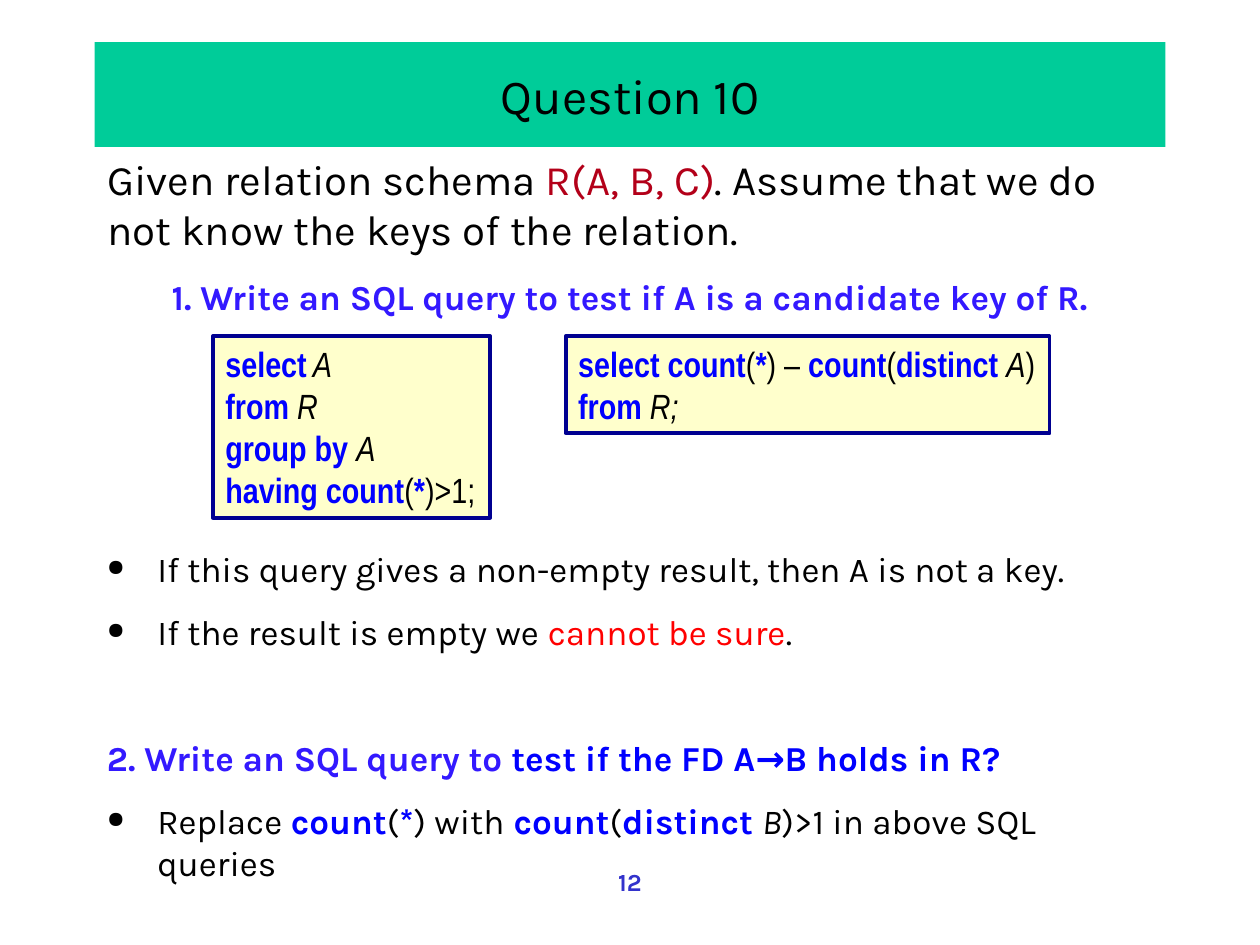
from lxml.etree import SubElement
from pptx import Presentation
from pptx.dml.color import RGBColor
from pptx.enum.shapes import MSO_SHAPE
from pptx.enum.text import MSO_ANCHOR, MSO_AUTO_SIZE, PP_ALIGN
from pptx.oxml.ns import qn
from pptx.util import Pt

STYLES = {
    "plain": {"color": "000000"},
    "schema": {"color": "B30019"},
    "warning": {"color": "FF0000"},
    "task": {"color": "3319FF", "bold": True},
    "keyword": {"color": "0000FF", "bold": True},
    "name": {"color": "000000", "italic": True},
    "number": {"color": "3333CC", "bold": True},
}

TITLE = [{"runs": [("Question 10", "plain")], "align": PP_ALIGN.CENTER}]
INTRO = [
    {"runs": [("Given relation schema ", "plain"), ("R(A, B, C)", "schema"),
              (". Assume that we do not know the keys of the relation.", "plain")]},
    {"runs": [("1. Write an SQL query to test if A is a candidate key of R.", "task")],
     "align": PP_ALIGN.CENTER, "before": 12, "size": 20},
]
NOTES = [
    {"runs": [("If this query gives a non-empty result, then A is not a key.", "plain")],
     "bullet": True},
    {"runs": [("If the result is empty we ", "plain"), ("cannot be sure", "warning"),
              (".", "plain")], "bullet": True, "before": 12},
    {"runs": [("2. Write an SQL query to", "task"),
              (" test if the FD A→B holds in R?", "keyword")], "before": 48},
    {"runs": [("Replace ", "plain"), ("count", "keyword"), ("(", "plain"),
              ("*", "keyword"), (") with", "plain"), (" count", "keyword"),
              ("(", "plain"), ("distinct ", "keyword"), ("B", "name"),
              (")>1 in above SQL queries", "plain")], "bullet": True, "before": 12},
]
GROUP_QUERY = [
    {"runs": [("select", "keyword"), (" A", "name")]},
    {"runs": [("from ", "keyword"), ("R", "name")]},
    {"runs": [("group by ", "keyword"), ("A", "name")]},
    {"runs": [("having count", "keyword"), ("(", "plain"), ("*", "keyword"),
              (")>1;", "plain")]},
]
COUNT_QUERY = [
    {"runs": [("select count", "keyword"), ("(", "plain"), ("*", "keyword"),
              (") – ", "plain"), ("count", "keyword"), ("(", "plain"),
              ("distinct ", "keyword"), ("A", "name"), (")", "plain")]},
    {"runs": [("from ", "keyword"), ("R;", "name")]},
]
PAGE_NUMBER = [{"runs": [("12", "number")], "align": PP_ALIGN.CENTER}]
QUERY_TOP = 192.2
QUERIES = [
    (GROUP_QUERY, 121.7, 158.4, 103.7),
    (COUNT_QUERY, 323.3, 276.5, 55.4),
]


def rgb(color):
    return RGBColor.from_string(color)


def place(shape, left, top, width, height):
    box = {"left": left, "top": top, "width": width, "height": height}
    for name, value in box.items():
        setattr(shape, name, Pt(value))


def set_bullet(paragraph, bulleted):
    properties = paragraph._p.get_or_add_pPr()
    indent = Pt(28.8) if bulleted else 0
    properties.set("marL", str(indent))
    properties.set("indent", str(-indent))
    if not bulleted:
        SubElement(properties, qn("a:buNone"))
        return
    color = SubElement(properties, qn("a:buClr"))
    SubElement(color, qn("a:srgbClr"), val="000000")
    SubElement(properties, qn("a:buSzPct"), val="65000")
    SubElement(properties, qn("a:buChar"), char="●")


def write(shape, paragraphs, size, font="Karla", anchor=MSO_ANCHOR.TOP, wrap=True,
          auto_size=MSO_AUTO_SIZE.NONE):
    frame = shape.text_frame
    frame_format = {"word_wrap": wrap, "auto_size": auto_size, "vertical_anchor": anchor}
    for name, value in frame_format.items():
        setattr(frame, name, value)
    for index, content in enumerate(paragraphs):
        paragraph = frame.add_paragraph() if index else frame.paragraphs[0]
        set_bullet(paragraph, content.get("bullet", False))
        paragraph.alignment = content.get("align", PP_ALIGN.LEFT)
        paragraph.space_before = Pt(content.get("before", 0))
        for text, style in content["runs"]:
            run = paragraph.add_run()
            run.text = text
            text_format = {"name": font, "size": Pt(content.get("size", size)),
                           "bold": False, "italic": False, **STYLES[style]}
            run.font.color.rgb = rgb(text_format.pop("color"))
            for name, value in text_format.items():
                setattr(run.font, name, value)


def add_query(slide, paragraphs, left, width, height):
    shape = slide.shapes.add_shape(
        MSO_SHAPE.RECTANGLE, Pt(left), Pt(QUERY_TOP), Pt(width), Pt(height))
    shape.shadow.inherit = False
    shape.fill.solid()
    shape.fill.fore_color.rgb = rgb("FFFFCC")
    shape.line.color.rgb = rgb("000090")
    shape.line.width = Pt(2.25)
    write(shape, paragraphs, 20, "Arial Narrow", wrap=False,
          auto_size=MSO_AUTO_SIZE.SHAPE_TO_FIT_TEXT)


def main():
    presentation = Presentation()
    presentation.slide_width, presentation.slide_height = Pt(720), Pt(540)
    slide = presentation.slides.add_slide(presentation.slide_layouts[1])

    title, body = slide.placeholders
    place(title, 54, 24, 612, 60)
    title.fill.solid()
    title.fill.fore_color.rgb = rgb("00CC99")
    write(title, TITLE, 28, anchor=MSO_ANCHOR.MIDDLE)
    place(body, 54, 84, 612, 93.6)
    write(body, INTRO, 24)

    notes = slide.shapes.add_textbox(Pt(54), Pt(309.6), Pt(612), Pt(170.6))
    write(notes, NOTES, 20)
    for query in QUERIES:
        add_query(slide, *query)
    page_number = slide.shapes.add_textbox(Pt(36), Pt(492), Pt(648), Pt(36))
    write(page_number, PAGE_NUMBER, 14)

    presentation.save("out.pptx")


if __name__ == "__main__":
    main()
